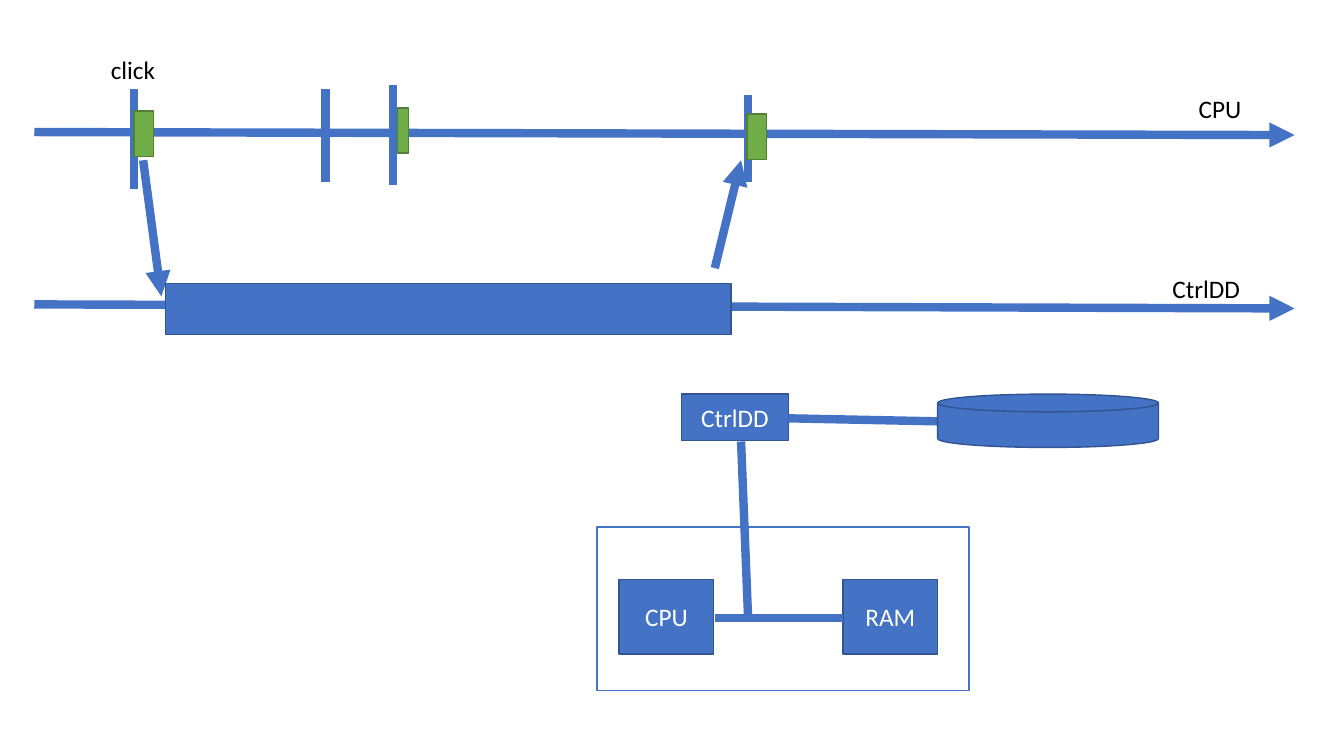
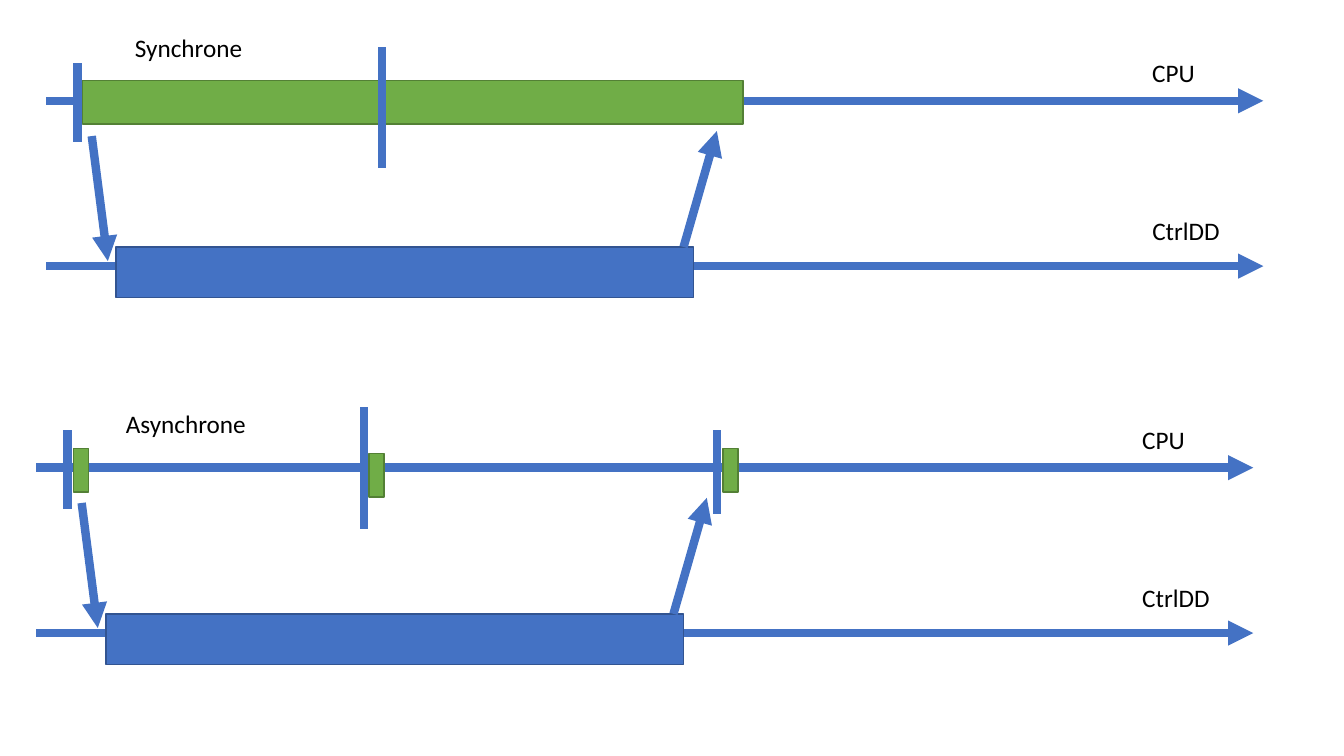
from lxml.etree import SubElement
from pptx import Presentation
from pptx.dml.color import RGBColor
from pptx.enum.shapes import MSO_CONNECTOR, MSO_SHAPE
from pptx.enum.text import MSO_ANCHOR, MSO_AUTO_SIZE, PP_ALIGN
from pptx.oxml.ns import qn
from pptx.util import Inches, Pt

COLUMNS, ROWS = 1333, 750
CELL = Inches(0.01)
COLORS = {
    "blue": "4472C4",
    "blue edge": "325491",
    "green": "70AD47",
    "green edge": "538035",
    "white": "FFFFFF",
    "black": "000000",
}


class Diagram:
    """Draws timelines and blocks on a fine grid of columns and rows."""

    def __init__(self):
        self.deck = Presentation()
        self.deck.slide_width = COLUMNS * CELL
        self.deck.slide_height = ROWS * CELL
        self.page = None

    def color(self, name):
        return RGBColor.from_string(COLORS[name])

    def new_page(self):
        self.page = self.deck.slides.add_slide(self.deck.slide_layouts[6])

    def add_span(self, para, words, color):
        span = para.add_run()
        span.text = words
        span.font.name = "Calibri"
        span.font.size = Pt(18)
        span.font.color.rgb = self.color(color)

    def label(self, column, row, width, words):
        box = self.page.shapes.add_textbox(column * CELL, row * CELL, width * CELL, 40 * CELL)
        frame = box.text_frame
        frame.word_wrap = False
        frame.auto_size = MSO_AUTO_SIZE.SHAPE_TO_FIT_TEXT
        self.add_span(frame.paragraphs[0], words, "black")

    def line(self, start, end, arrow=False):
        ends = [place * CELL for place in (*start, *end)]
        connector = self.page.shapes.add_connector(MSO_CONNECTOR.STRAIGHT, *ends)
        connector.line.color.rgb = self.color("blue")
        connector.line.width = Pt(6)
        properties = connector.element.spPr
        if arrow:
            SubElement(properties.find(qn("a:ln")), qn("a:tailEnd"), type="triangle")
        SubElement(properties, qn("a:effectLst"))

    def tick(self, column, top, bottom):
        self.line((column, top), (column, bottom))

    def block(self, column, row, width, height, words="", fill="blue",
              edge="blue edge", kind=MSO_SHAPE.RECTANGLE):
        places = [place * CELL for place in (column, row, width, height)]
        shape = self.page.shapes.add_shape(kind, *places)
        shape.shadow.inherit = False
        shape.fill.solid()
        shape.fill.fore_color.rgb = self.color(fill)
        shape.line.color.rgb = self.color(edge)
        shape.line.width = Pt(1)
        if words:
            frame = shape.text_frame
            frame.word_wrap = True
            frame.vertical_anchor = MSO_ANCHOR.MIDDLE
            frame.paragraphs[0].alignment = PP_ALIGN.CENTER
            self.add_span(frame.paragraphs[0], words, "white")

    def work(self, column, row, width, height):
        self.block(column, row, width, height, fill="green", edge="green edge")

    def exchange(self, column, row):
        """Draws the CPU and CtrlDD timelines with one request and its reply."""
        for offset in (0, 164):
            self.line((column, row + offset), (column + 1207, row + offset), arrow=True)
        self.tick(column + 31, row - 37, row + 41)
        self.line((column + 45, row + 35), (column + 61, row + 159), arrow=True)
        self.label(column + 1087, row - 48, 63, "CPU")
        self.label(column + 1087, row + 109, 88, "CtrlDD")
        self.block(column + 69, row + 145, 573, 50)
        self.line((column + 632, row + 145), (column + 665, row + 30), arrow=True)


def draw_architecture(diagram):
    """Draws the click timeline above the machine's components."""
    diagram.new_page()
    diagram.line((34, 131), (1284, 134), arrow=True)
    diagram.label(1179, 88, 63, "CPU")
    diagram.label(100, 49, 65, "click")
    for column, top, bottom in ((133, 88, 188), (390, 84, 184), (323, 88, 181), (742, 94, 181)):
        diagram.tick(column, top, bottom)
    for column, row, width in ((133, 110, 19), (394, 107, 11), (741, 113, 19)):
        diagram.work(column, row, width, 45)

    diagram.block(592, 523, 369, 162, fill="white", edge="blue")
    for column, words in ((614, "CPU"), (836, "RAM")):
        diagram.block(column, 575, 94, 74, words)
    diagram.line((709, 613), (836, 613))
    diagram.line((742, 613), (735, 438))
    diagram.block(676, 391, 106, 46, "CtrlDD")
    diagram.line((782, 415), (930, 418))
    diagram.block(930, 391, 219, 53, kind=MSO_SHAPE.FLOWCHART_MAGNETIC_DISK)

    diagram.line((34, 302), (1284, 306), arrow=True)
    diagram.label(1153, 266, 88, "CtrlDD")
    diagram.line((142, 159), (160, 294), arrow=True)
    diagram.block(164, 281, 561, 51)
    diagram.line((709, 266), (735, 159), arrow=True)


def draw_comparison(diagram):
    """Draws the synchronous exchange above the asynchronous one."""
    diagram.new_page()
    diagram.exchange(46, 100)
    diagram.label(124, 27, 128, "Synchrone")
    diagram.work(82, 80, 655, 43)
    diagram.tick(379, 47, 167)

    diagram.exchange(36, 464)
    diagram.label(115, 400, 140, "Asynchrone")
    diagram.tick(361, 404, 525)
    diagram.tick(711, 427, 510)
    for column, row in ((73, 445), (366, 450), (717, 445)):
        diagram.work(column, row, 15, 43)


def main():
    diagram = Diagram()
    draw_architecture(diagram)
    draw_comparison(diagram)
    diagram.deck.save("out.pptx")


if __name__ == "__main__":
    main()
